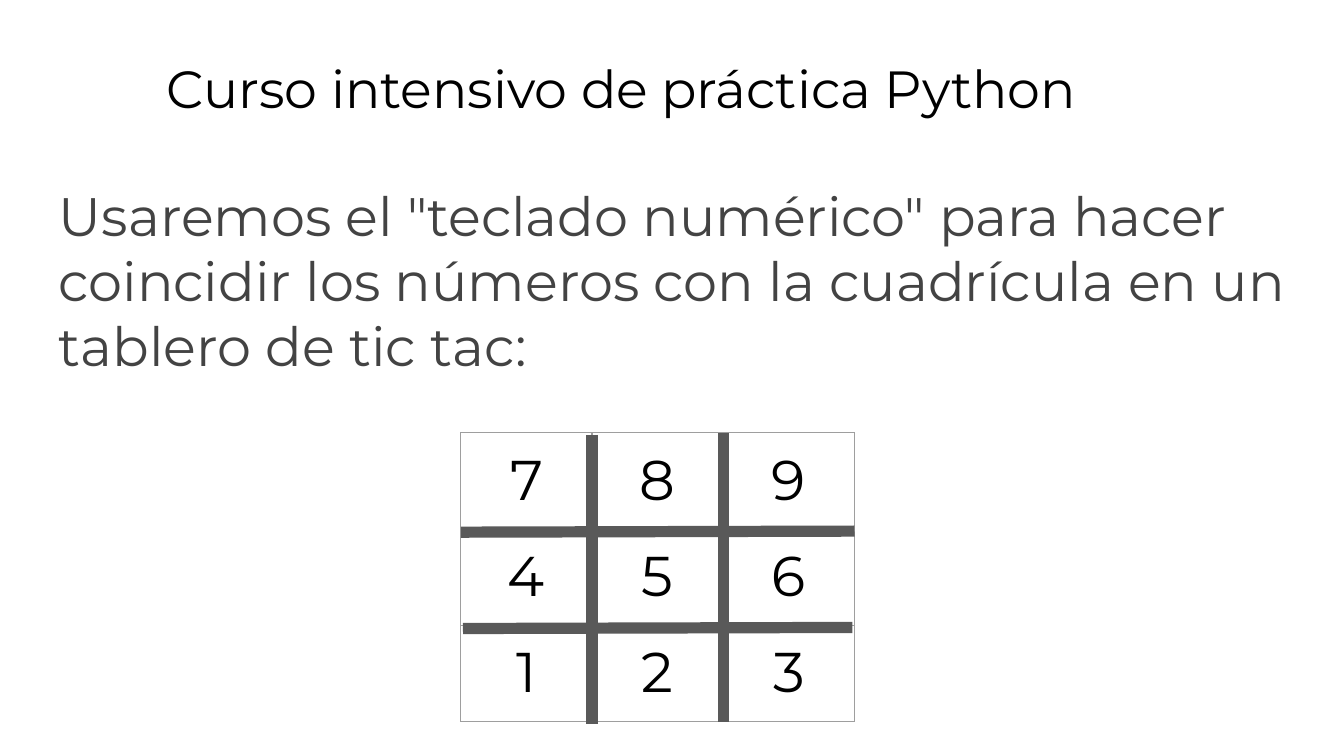
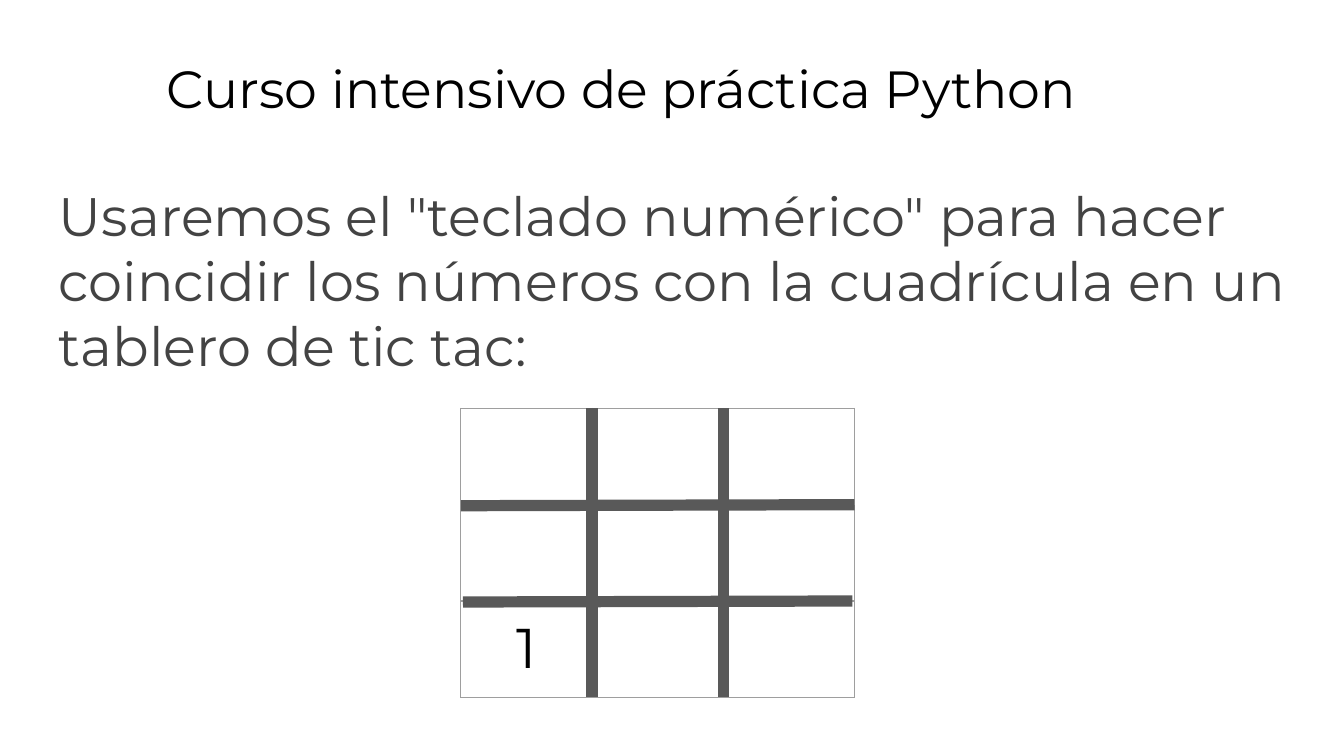
from pptx import Presentation
from pptx.dml.color import RGBColor
from pptx.enum.shapes import MSO_CONNECTOR
from pptx.enum.text import MSO_ANCHOR, MSO_AUTO_SIZE, PP_ALIGN
from pptx.oxml import parse_xml
from pptx.oxml.ns import nsdecls
from pptx.oxml.xmlchemy import OxmlElement
from pptx.util import Cm, Pt

FONT = "Montserrat"
BLACK = RGBColor(0x00, 0x00, 0x00)
BODY_GRAY = RGBColor(0x43, 0x43, 0x43)
RULE_GRAY = RGBColor(0x59, 0x59, 0x59)
BORDER_GRAY = RGBColor(0x9E, 0x9E, 0x9E)

TITLE = "Curso intensivo de práctica Python"
INTRO = ('Usaremos el "teclado numérico" para hacer coincidir los números '
         "con la cuadrícula en un tablero de tic tac:")

INSET = Cm(0.25)
BOARD_LEFT = 8.71
COL_W = 2.48
ROW_H = 1.82
SIZE = 3
TILT = 0.02

KEYPAD = ["789", "456", "123"]
FIRST_MOVE = ["   ", "   ", "1  "]


def write(tf, text, size=30, color=BLACK, align=PP_ALIGN.LEFT, after=0):
    p = tf.paragraphs[0]
    p.alignment = align
    p.line_spacing = 1.0
    p.space_before = Pt(0)
    p.space_after = Pt(after)
    r = p.add_run()
    r.text = text
    r.font.name = FONT
    r.font.size = Pt(size)
    r.font.color.rgb = color
    return p


def fill_placeholder(sp, left, top, width, height, text, **fmt):
    sp.left, sp.top, sp.width, sp.height = Cm(left), Cm(top), Cm(width), Cm(height)
    tf = sp.text_frame
    tf.word_wrap = True
    tf.auto_size = MSO_AUTO_SIZE.NONE
    tf.vertical_anchor = MSO_ANCHOR.TOP
    tf.margin_left = tf.margin_right = tf.margin_top = tf.margin_bottom = INSET
    return write(tf, text, **fmt)


def remove_bullet(p):
    pPr = p._p.get_or_add_pPr()
    pPr.set("marL", "0")
    pPr.set("indent", "0")
    pPr.append(OxmlElement("a:buNone"))


def add_borders(cell):
    tcPr = cell._tc.get_or_add_tcPr()
    for side in ("lnL", "lnR", "lnT", "lnB"):
        tcPr.append(parse_xml(
            f'<a:{side} {nsdecls("a")} w="{Pt(0.75)}"><a:solidFill>'
            f'<a:srgbClr val="{BORDER_GRAY}"/></a:solidFill></a:{side}>'))


def add_board(s, top, rows):
    frame = s.shapes.add_table(SIZE, SIZE, Cm(BOARD_LEFT), Cm(top),
                               Cm(SIZE * COL_W), Cm(SIZE * ROW_H))
    table = frame.table
    table.first_row = table.horz_banding = False
    for i in range(SIZE):
        table.columns[i].width = Cm(COL_W)
        table.rows[i].height = Cm(ROW_H)
        for j, mark in enumerate(rows[i]):
            cell = table.cell(i, j)
            add_borders(cell)
            cell.fill.background()
            cell.margin_left = cell.margin_right = INSET
            cell.margin_top = cell.margin_bottom = INSET
            if mark.strip():
                write(cell.text_frame, mark, align=PP_ALIGN.CENTER)


def add_rule(s, x1, y1, x2, y2):
    line = s.shapes.add_connector(MSO_CONNECTOR.STRAIGHT,
                                  Cm(x1), Cm(y1), Cm(x2), Cm(y2))
    line.line.color.rgb = RULE_GRAY
    line.line.width = Pt(6)
    line._element.spPr.append(OxmlElement("a:effectLst"))


def add_rules(s, top, drop):
    right = BOARD_LEFT + SIZE * COL_W
    for i, shift in ((1, drop), (2, 0)):
        x = BOARD_LEFT + i * COL_W
        add_rule(s, x, top + shift, x, top + shift + SIZE * ROW_H)
    for i, trim in ((1, 0), (2, 0.04)):
        y = top + drop + i * ROW_H
        add_rule(s, right - trim, y, BOARD_LEFT + trim, y + TILT)


def add_board_slide(prs, top, rows, drop):
    s = prs.slides.add_slide(prs.slide_layouts[1])
    fill_placeholder(s.shapes.title, 2.9, 0.81, 21.64, 1.6, TITLE, size=28)
    p = fill_placeholder(s.placeholders[1], 0.86, 3.2, 24.13, 9.5, INTRO,
                         size=29, color=BODY_GRAY, after=16)
    remove_bullet(p)
    add_board(s, top, rows)
    add_rules(s, top, drop)


def main():
    prs = Presentation()
    prs.slide_width, prs.slide_height = Cm(25.4), Cm(14.29)
    add_board_slide(prs, 8.18, KEYPAD, drop=0.04)
    add_board_slide(prs, 7.72, FIRST_MOVE, drop=0)
    prs.save("out.pptx")


if __name__ == "__main__":
    main()
